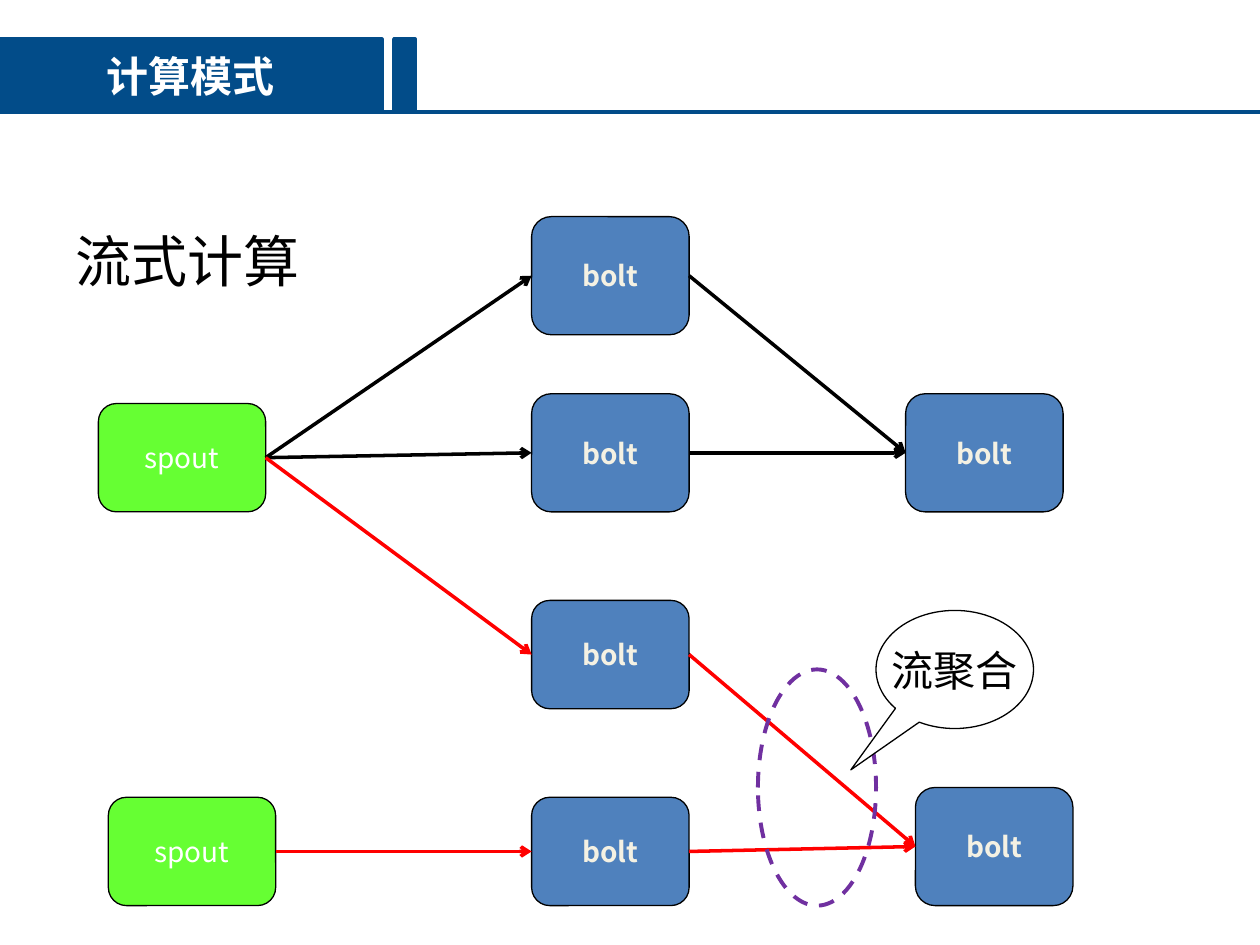
from lxml import etree
from pptx import Presentation
from pptx.dml.color import RGBColor
from pptx.enum.dml import MSO_LINE
from pptx.enum.shapes import MSO_CONNECTOR, MSO_SHAPE
from pptx.enum.text import MSO_ANCHOR, MSO_AUTO_SIZE, PP_ALIGN
from pptx.oxml.ns import qn
from pptx.util import Pt

FONT = "Noto Sans CJK SC"
NAVY, BLACK, WHITE, RED = "024C89", "000000", "FFFFFF", "FF0000"
BLUE, GREEN, CREAM, PURPLE = "4F81BD", "66FF33", "F4F1E3", "7030A0"


def paint(shape, fill, line, width, dash=None):
    if fill:
        shape.fill.solid()
        shape.fill.fore_color.rgb = RGBColor.from_string(fill)
    else:
        shape.fill.background()
    shape.line.color.rgb = RGBColor.from_string(line)
    shape.line.width = Pt(width)
    shape.line.dash_style = dash
    shape.shadow.inherit = False


def write(shape, text, size, color, bold=False, align=PP_ALIGN.CENTER, wrap=False):
    frame = shape.text_frame
    frame.word_wrap = wrap
    frame.auto_size = MSO_AUTO_SIZE.NONE
    paragraph = frame.paragraphs[0]
    paragraph.alignment = align
    run = paragraph.add_run()
    run.text = text
    run.font.name = FONT
    run.font.size = Pt(size)
    run.font.bold = bold
    run.font.color.rgb = RGBColor.from_string(color)
    # East Asian text needs its own font element
    etree.SubElement(run.font._element, qn("a:ea")).set("typeface", FONT)


presentation = Presentation()
presentation.slide_width, presentation.slide_height = Pt(720), Pt(540)
slide = presentation.slides.add_slide(presentation.slide_layouts[5])
shapes = slide.shapes

# Title banner, its accent block and the rule below
title = shapes.title
title.left, title.top, title.width, title.height = Pt(0), Pt(22.3), Pt(218.2), Pt(41.8)
paint(title, NAVY, NAVY, 2)
write(title, "计算模式", 24, WHITE, bold=True, wrap=True)
title.text_frame.vertical_anchor = MSO_ANCHOR.MIDDLE
accent = shapes.add_shape(MSO_SHAPE.RECTANGLE, Pt(225), Pt(22.3), Pt(12.2), Pt(41.8))
paint(accent, NAVY, NAVY, 2)
rule = shapes.add_connector(MSO_CONNECTOR.STRAIGHT, Pt(0), Pt(64.1), Pt(720), Pt(64.1))
rule.line.color.rgb = RGBColor.from_string(NAVY)
rule.line.width = Pt(2)
etree.SubElement(rule._element.spPr, qn("a:effectLst"))

# Heading
heading = shapes.add_textbox(Pt(36), Pt(126), Pt(240), Pt(56))
write(heading, "流式计算", 32, BLACK, align=PP_ALIGN.LEFT, wrap=True)

# Nodes: kind, left, top, height
kinds = {"spout": (95.6, GREEN, WHITE, False), "bolt": (90, BLUE, CREAM, True)}
nodes = {
    "upper source": ("spout", 56.2, 230.6, 61.9),
    "lower source": ("spout", 61.9, 455.6, 61.9),
    "first": ("bolt", 303.8, 123.8, 67.5),
    "second": ("bolt", 303.8, 225, 67.5),
    "third": ("bolt", 303.8, 343.1, 61.9),
    "fourth": ("bolt", 303.8, 455.6, 61.9),
    "upper sink": ("bolt", 517.5, 225, 67.5),
    "lower sink": ("bolt", 523.1, 450, 67.5),
}
boxes = {}
for name, (kind, left, top, height) in nodes.items():
    width, fill, color, bold = kinds[kind]
    box = shapes.add_shape(MSO_SHAPE.ROUNDED_RECTANGLE, Pt(left), Pt(top), Pt(width), Pt(height))
    paint(box, fill, BLACK, 0.75)
    write(box, kind, 16, color, bold)
    boxes[name] = box

# Streams, from the right side of one node to the left side of the next
streams = [
    ("upper source", "first", BLACK),
    ("upper source", "second", BLACK),
    ("upper source", "third", RED),
    ("second", "upper sink", BLACK),
    ("first", "upper sink", BLACK),
    ("third", "lower sink", RED),
    ("lower source", "fourth", RED),
    ("fourth", "lower sink", RED),
]
for start, end, color in streams:
    stream = shapes.add_connector(MSO_CONNECTOR.STRAIGHT, 0, 0, 0, 0)
    stream.begin_connect(boxes[start], 3)
    stream.end_connect(boxes[end], 1)
    stream.line.color.rgb = RGBColor.from_string(color)
    stream.line.width = Pt(2)
    etree.SubElement(stream.line._get_or_add_ln(), qn("a:tailEnd")).set("type", "arrow")
    etree.SubElement(stream._element.spPr, qn("a:effectLst"))

# Merge area and its callout
merge = shapes.add_shape(MSO_SHAPE.OVAL, Pt(433.1), Pt(382.5), Pt(67.5), Pt(135))
paint(merge, None, PURPLE, 2.25, MSO_LINE.DASH)
callout = shapes.add_shape(MSO_SHAPE.OVAL_CALLOUT, Pt(500.6), Pt(348.8), Pt(90), Pt(67.5))
callout.adjustments[0], callout.adjustments[1] = -0.66, 0.85
paint(callout, WHITE, BLACK, 0.75)
write(callout, "流聚合", 24, BLACK)

presentation.save("out.pptx")
